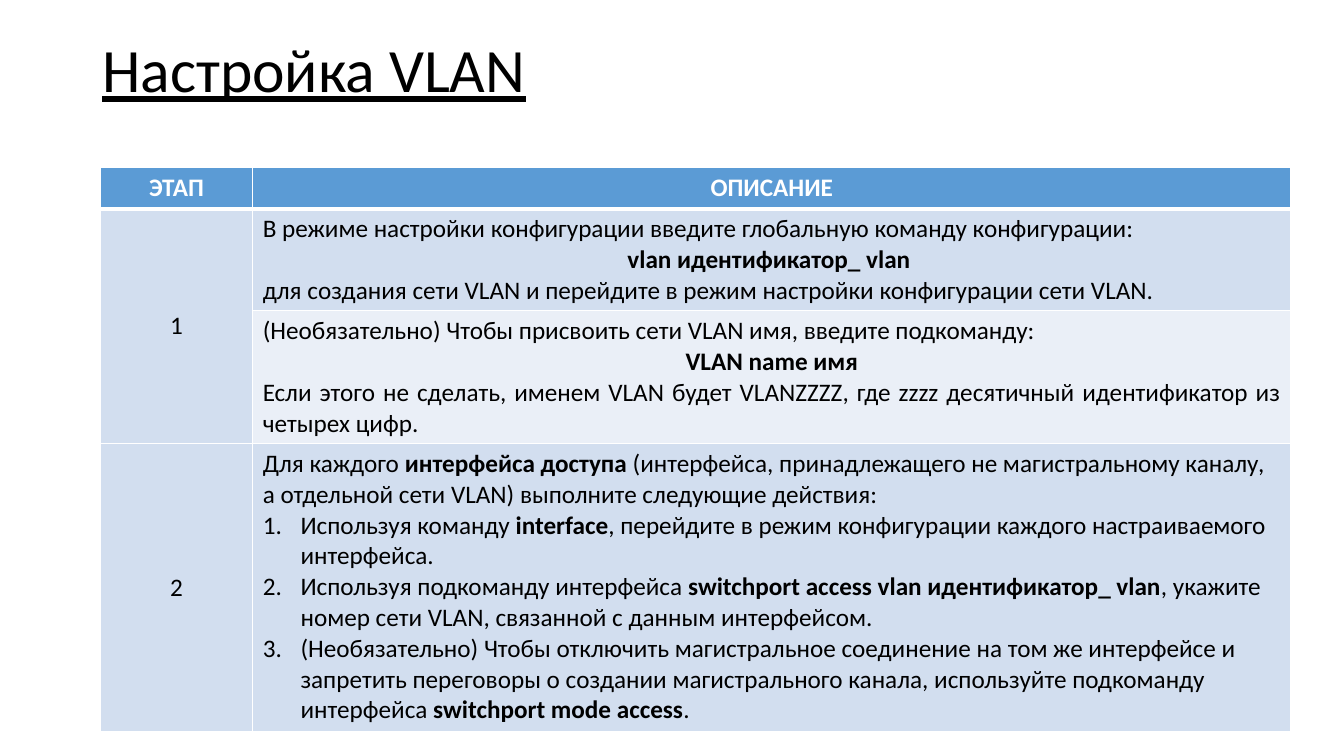
from dataclasses import dataclass

from lxml import etree
from pptx import Presentation
from pptx.dml.color import RGBColor
from pptx.enum import text
from pptx.oxml import ns
from pptx.util import Cm, Pt

CENTER, JUSTIFY, LEFT = text.PP_ALIGN.CENTER, text.PP_ALIGN.JUSTIFY, text.PP_ALIGN.LEFT


@dataclass(frozen=True)
class Theme:
    font: str = "Calibri"
    ink: str = "000000"
    white: str = "FFFFFF"
    header: str = "5B9BD5"
    band: str = "D2DEEF"
    light_band: str = "EAEFF7"
    title_size: int = 44
    body_size: int = 18


class SlideBuilder:
    def __init__(self, slide, theme):
        self.slide, self.theme = slide, theme

    def style(self, font, size, color, bold=False):
        font.name, font.size, font.bold = self.theme.font, Pt(size), bold
        font.color.rgb = RGBColor.from_string(color)

    def title(self, wording, left, top, width, height):
        box = self.slide.shapes.add_textbox(Cm(left), Cm(top), Cm(width), Cm(height))
        frame = box.text_frame
        frame.word_wrap = True
        frame.vertical_anchor = text.MSO_ANCHOR.MIDDLE
        frame.text = wording
        paragraph = frame.paragraphs[0]
        paragraph.line_spacing = 0.9
        font = paragraph.runs[0].font
        self.style(font, self.theme.title_size, self.theme.ink)
        font.underline = True

    def table(self, left, top, widths, heights):
        frame = self.slide.shapes.add_table(
            len(heights), len(widths), Cm(left), Cm(top), Cm(sum(widths)), Cm(sum(heights)))
        table = frame.table
        table.horz_banding = False
        for column, width in zip(table.columns, widths):
            column.width = Cm(width)
        for row, height in zip(table.rows, heights):
            row.height = Cm(height)
        return table

    def borders(self, cell, bottom):
        properties = cell._tc.get_or_add_tcPr()
        for side, points in (("L", 1), ("R", 1), ("T", 1), ("B", bottom)):
            line = etree.SubElement(properties, ns.qn(f"a:ln{side}"), w=str(Pt(points)))
            fill = etree.SubElement(line, ns.qn("a:solidFill"))
            etree.SubElement(fill, ns.qn("a:srgbClr"), val=self.theme.white)

    def number(self, paragraph):
        properties = paragraph._p.get_or_add_pPr()
        properties.set("marL", str(Cm(0.95)))
        properties.set("indent", str(Cm(-0.95)))
        etree.SubElement(properties, ns.qn("a:buFont"), typeface="+mj-lt")
        etree.SubElement(properties, ns.qn("a:buAutoNum"), type="arabicPeriod")

    def cell(self, cell, lines, fill, color, bottom=1):
        """Lines are (alignment, numbered, wording); asterisks enclose bold words."""
        self.borders(cell, bottom)
        cell.fill.solid()
        cell.fill.fore_color.rgb = RGBColor.from_string(fill)
        frame = cell.text_frame
        for index, (alignment, numbered, wording) in enumerate(lines):
            paragraph = frame.add_paragraph() if index else frame.paragraphs[0]
            if numbered:
                self.number(paragraph)
            paragraph.alignment = alignment
            for part, words in enumerate(wording.split("*")):
                if words:
                    run = paragraph.add_run()
                    run.text = words
                    self.style(run.font, self.theme.body_size, color, bold=part % 2 == 1)


HEADINGS = ["*ЭТАП*", "*ОПИСАНИЕ*"]
STAGES = ["1", "", "2"]
DESCRIPTIONS = [
    [(JUSTIFY, False, "В режиме настройки конфигурации введите глобальную команду конфигурации: "),
     (CENTER, False, "*vlan идентификатор_ vlan *"),
     (JUSTIFY, False, "для создания сети VLAN и перейдите в режим настройки конфигурации сети VLAN.")],
    [(JUSTIFY, False, "(Необязательно) Чтобы присвоить сети VLAN имя, введите подкоманду: "),
     (CENTER, False, "*VLAN name имя*"),
     (JUSTIFY, False, "Если этого не сделать, именем VLAN будет VLANZZZZ, где zzzz десятичный "
                      "идентификатор из четырех цифр.")],
    [(LEFT, False, "Для каждого *интерфейса доступа *(интерфейса, принадлежащего не магистральному "
                   "каналу, а отдельной сети VLAN) выполните следующие действия:"),
     (LEFT, True, "Используя команду *interface*, перейдите в режим конфигурации каждого "
                  "настраиваемого интерфейса."),
     (LEFT, True, "Используя подкоманду интерфейса *switchport access vlan идентификатор_ vlan*, "
                  "укажите номер сети VLAN, связанной с данным интерфейсом."),
     (LEFT, True, "(Необязательно) Чтобы отключить магистральное соединение на том же интерфейсе и "
                  "запретить переговоры о создании магистрального канала, используйте подкоманду "
                  "интерфейса *switchport mode access*.")],
]


def main():
    presentation = Presentation()
    presentation.slide_width, presentation.slide_height = Cm(33.87), Cm(19.05)
    slide = presentation.slides.add_slide(presentation.slide_layouts[6])
    theme = Theme()
    builder = SlideBuilder(slide, theme)

    # Title
    builder.title("Настройка VLAN", 2.33, 0, 29.21, 3.68)

    # Table header
    table = builder.table(2.53, 4.23, [3.84, 26.16], [1.03, 2.57, 3.35, 7.25])
    for column, heading in enumerate(HEADINGS):
        builder.cell(table.cell(0, column), [(CENTER, False, heading)],
                     theme.header, theme.white, bottom=3)

    # Stages and their descriptions
    fills = [theme.band, theme.light_band, theme.band]
    for row, (stage, lines, fill) in enumerate(zip(STAGES, DESCRIPTIONS, fills), start=1):
        stage_cell = table.cell(row, 0)
        builder.cell(stage_cell, [(CENTER, False, stage)], theme.band, theme.ink)
        stage_cell.vertical_anchor = text.MSO_ANCHOR.MIDDLE
        builder.cell(table.cell(row, 1), lines, fill, theme.ink)
    table.cell(1, 0).merge(table.cell(2, 0))

    presentation.save("out.pptx")


if __name__ == "__main__":
    main()
